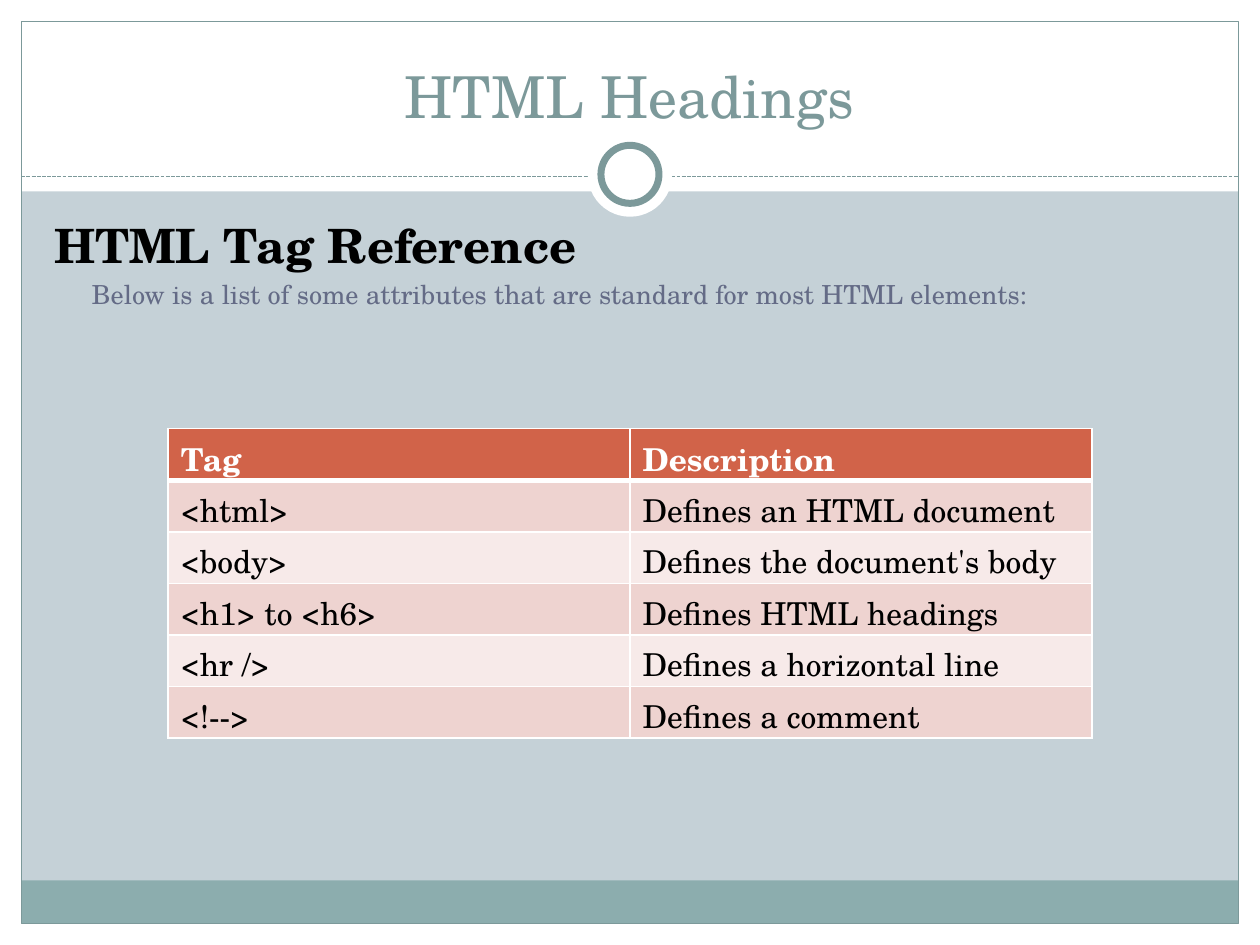
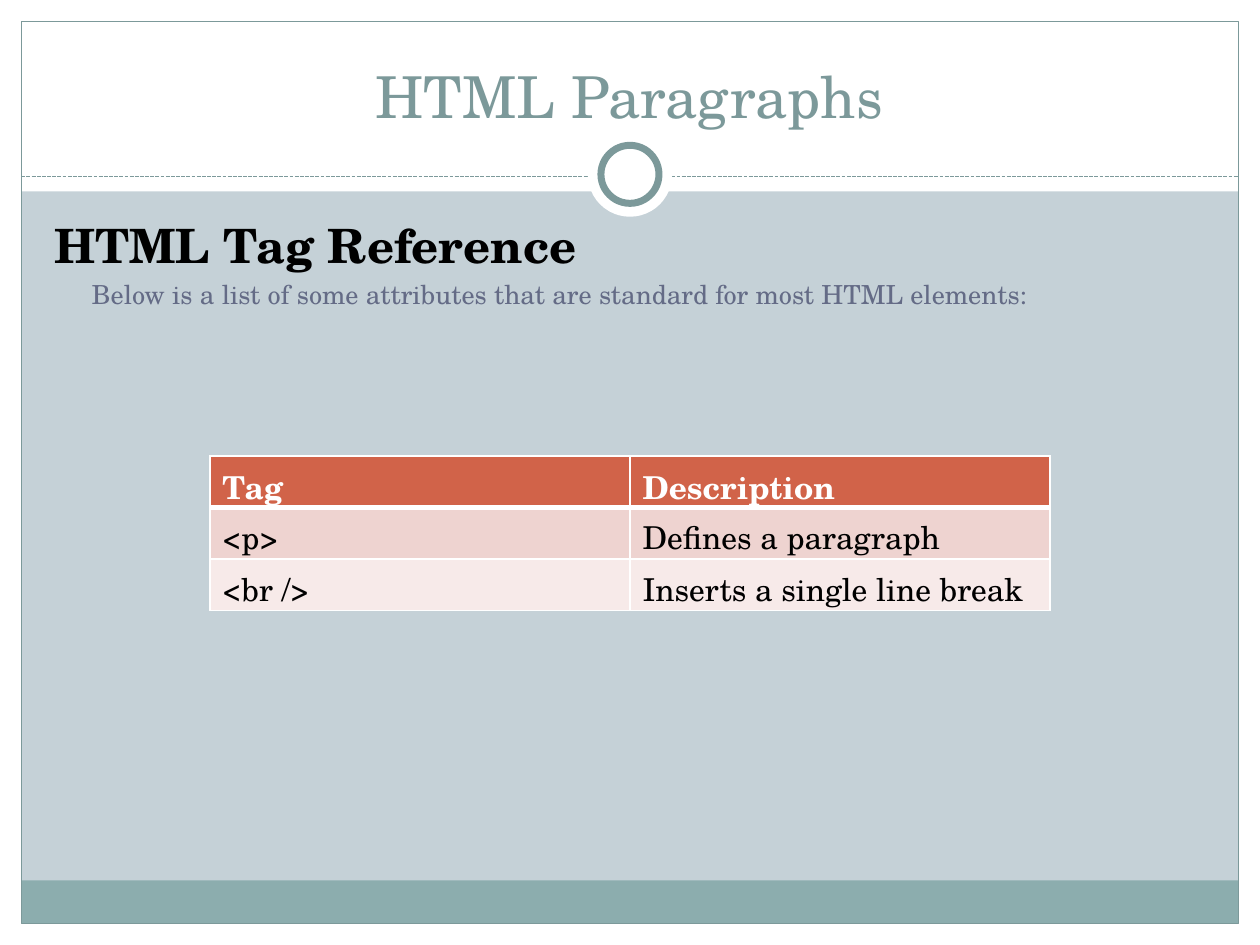
import dataclasses

import lxml.etree
import pptx
import pptx.dml.color
import pptx.enum.dml
import pptx.enum.shapes
import pptx.enum.text
import pptx.oxml.ns
import pptx.util

Cm = pptx.util.Cm
Pt = pptx.util.Pt
RGBColor = pptx.dml.color.RGBColor
Shape = pptx.enum.shapes.MSO_SHAPE
Anchor = pptx.enum.text.MSO_ANCHOR
Align = pptx.enum.text.PP_ALIGN
qn = pptx.oxml.ns.qn


@dataclasses.dataclass(frozen=True)
class Theme:
    """Colours, font and type sizes shared by the slides."""
    background: str = "C5D1D7"
    white: str = "FFFFFF"
    black: str = "000000"
    accent: str = "7C999A"
    footer: str = "8CADAE"
    muted: str = "646B86"
    table_header: str = "D16349"
    table_rows: tuple = ("EED3D0", "F7EAE9")
    font: str = "TeX Gyre Schola"
    title_size: int = 33
    heading_size: int = 27
    intro_size: int = 15
    table_size: int = 18


theme = Theme()
SLIDE_WIDTH, SLIDE_HEIGHT = 25.4, 19.05
MARGIN = 0.43
INNER_WIDTH = SLIDE_WIDTH - 2 * MARGIN
ROW_HEIGHT = 1.04
HEADING = "HTML Tag Reference"
INTRO = "Below is a list of some attributes that are standard for most HTML elements:"
HEADER = ("Tag", "Description")

# Title, table top and width in cm, table rows
pages = [
    ("HTML Headings", 8.64, 18.62, [
        ("<html>", "Defines an HTML document"),
        ("<body>", "Defines the document's body"),
        ("<h1> to <h6>", "Defines HTML headings"),
        ("<hr />", "Defines a horizontal line"),
        ("<!-->", "Defines a comment"),
    ]),
    ("HTML Paragraphs", 9.19, 16.94, [
        ("<p>", "Defines a paragraph"),
        ("<br />", "Inserts a single line break"),
    ]),
]

# Left, top, width, height in cm, and fill
bands = [
    (0, SLIDE_HEIGHT - MARGIN, SLIDE_WIDTH, MARGIN, theme.white),
    (0, 0, SLIDE_WIDTH, 3.86, theme.white),
    (0, 0, MARGIN, SLIDE_HEIGHT, theme.white),
    (SLIDE_WIDTH - MARGIN, 0, MARGIN, SLIDE_HEIGHT, theme.white),
    (MARGIN, 17.75, INNER_WIDTH, 0.86, theme.footer),
]


def add_shape(slide, kind, box, fill=None, line_width=None):
    """Add a flat preset shape; box is left, top, width, height in cm."""
    shape = slide.shapes.add_shape(kind, *map(Cm, box))
    shape.shadow.inherit = False
    if fill:
        shape.fill.solid()
        shape.fill.fore_color.rgb = RGBColor.from_string(fill)
    else:
        shape.fill.background()
    if line_width:
        shape.line.color.rgb = RGBColor.from_string(theme.accent)
        shape.line.width = Pt(line_width)
    else:
        shape.line.fill.background()


def write(paragraph, text, size, color, bold=False):
    """Fill a paragraph with text in the theme font."""
    paragraph.text = text
    paragraph.font.name = theme.font
    paragraph.font.size = Pt(size)
    paragraph.font.bold = bold
    paragraph.font.color.rgb = RGBColor.from_string(color)


presentation = pptx.Presentation()
presentation.slide_width = Cm(SLIDE_WIDTH)
presentation.slide_height = Cm(SLIDE_HEIGHT)
background = presentation.slide_master.background.fill
background.solid()
background.fore_color.rgb = RGBColor.from_string(theme.background)

for title, table_top, table_width, rows in pages:
    slide = presentation.slides.add_slide(presentation.slide_layouts[6])

    # Bands, frame, dashed rule and ring
    for *box, fill in bands:
        add_shape(slide, Shape.RECTANGLE, box, fill)
    add_shape(slide, Shape.RECTANGLE,
              (MARGIN, MARGIN, INNER_WIDTH, SLIDE_HEIGHT - 2 * MARGIN), line_width=0.75)
    rule = slide.shapes.add_connector(
        pptx.enum.shapes.MSO_CONNECTOR.STRAIGHT,
        Cm(MARGIN), Cm(3.56), Cm(SLIDE_WIDTH - MARGIN), Cm(3.56))
    rule.line.color.rgb = RGBColor.from_string(theme.accent)
    rule.line.width = Pt(0.75)
    rule.line.dash_style = pptx.enum.dml.MSO_LINE.SQUARE_DOT
    lxml.etree.SubElement(rule._element.spPr, qn("a:effectLst"))
    for diameter, top, line_width in ((1.7, 2.67, None), (1.17, 2.93, 4)):
        add_shape(slide, Shape.OVAL,
                  ((SLIDE_WIDTH - diameter) / 2, top, diameter, diameter),
                  theme.white, line_width)

    # Title
    frame = slide.shapes.add_textbox(Cm(0.84), Cm(0.64), Cm(23.7), Cm(2.11)).text_frame
    frame.word_wrap = True
    frame.vertical_anchor = Anchor.BOTTOM
    write(frame.paragraphs[0], title, theme.title_size, theme.accent)
    frame.paragraphs[0].alignment = Align.CENTER

    # Heading with its indented introduction
    frame = slide.shapes.add_textbox(Cm(0.84), Cm(4.24), Cm(23.62), Cm(12.7)).text_frame
    frame.word_wrap = True
    write(frame.paragraphs[0], HEADING, theme.heading_size, theme.black, bold=True)
    intro = frame.add_paragraph()
    write(intro, INTRO, theme.intro_size, theme.muted)
    intro.space_before = Pt(3)
    intro._p.get_or_add_pPr().set("marL", str(Cm(0.76)))

    # Table, centred on the slide
    table_rows = [HEADER, *rows]
    table = slide.shapes.add_table(
        len(table_rows), len(HEADER), Cm((SLIDE_WIDTH - table_width) / 2), Cm(table_top),
        Cm(table_width), Cm(ROW_HEIGHT * len(table_rows))).table
    for row_index, texts in enumerate(table_rows):
        is_header = row_index == 0
        borders = {"a:lnL": 1, "a:lnR": 1, "a:lnT": 1, "a:lnB": 1}
        if is_header:
            borders["a:lnB"] = 3
        elif row_index == 1:
            borders["a:lnT"] = 3
        for column_index, text in enumerate(texts):
            cell = table.cell(row_index, column_index)
            cell.vertical_anchor = Anchor.MIDDLE
            write(cell.text_frame.paragraphs[0], text, theme.table_size,
                  theme.white if is_header else theme.black, is_header)
            properties = cell._tc.get_or_add_tcPr()
            for tag, width in borders.items():
                border = lxml.etree.SubElement(properties, qn(tag), w=str(Pt(width)))
                solid = lxml.etree.SubElement(border, qn("a:solidFill"))
                lxml.etree.SubElement(solid, qn("a:srgbClr"), val=theme.white)
            cell.fill.solid()
            cell.fill.fore_color.rgb = RGBColor.from_string(
                theme.table_header if is_header else theme.table_rows[(row_index - 1) % 2])

presentation.save("out.pptx")
